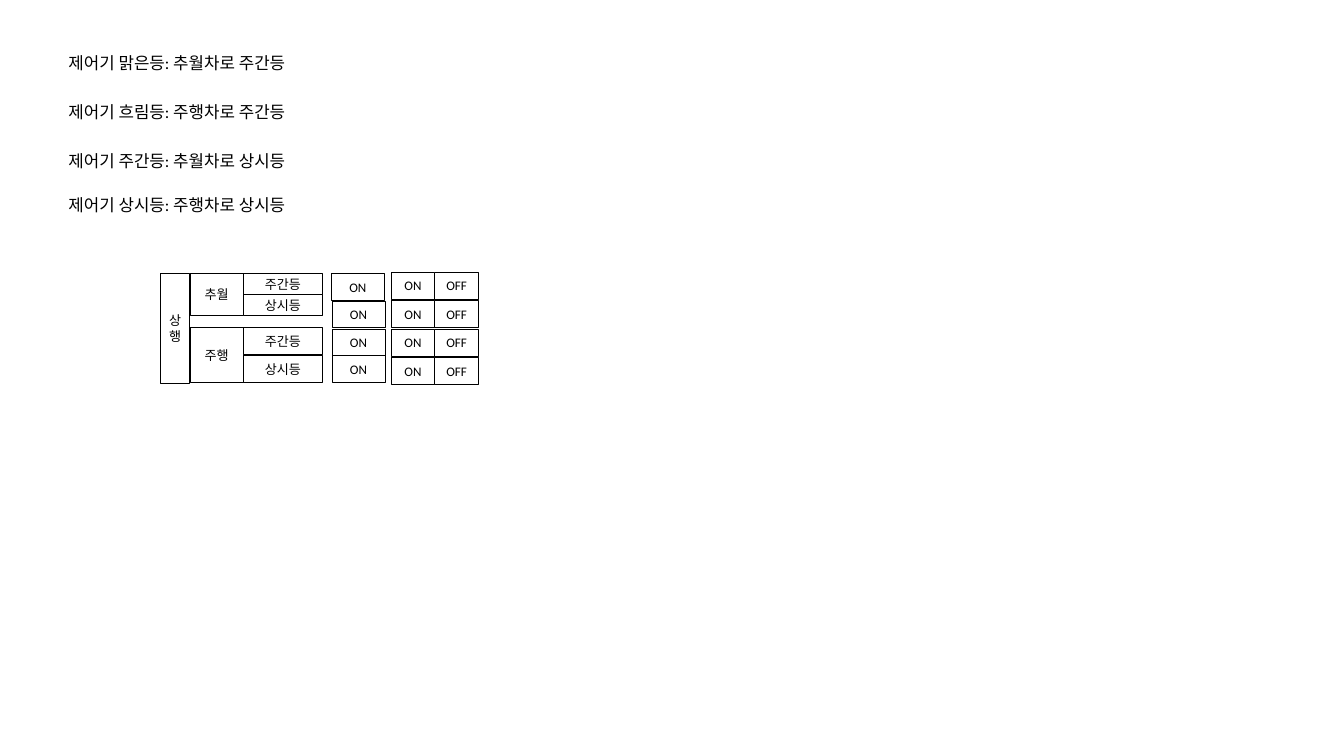
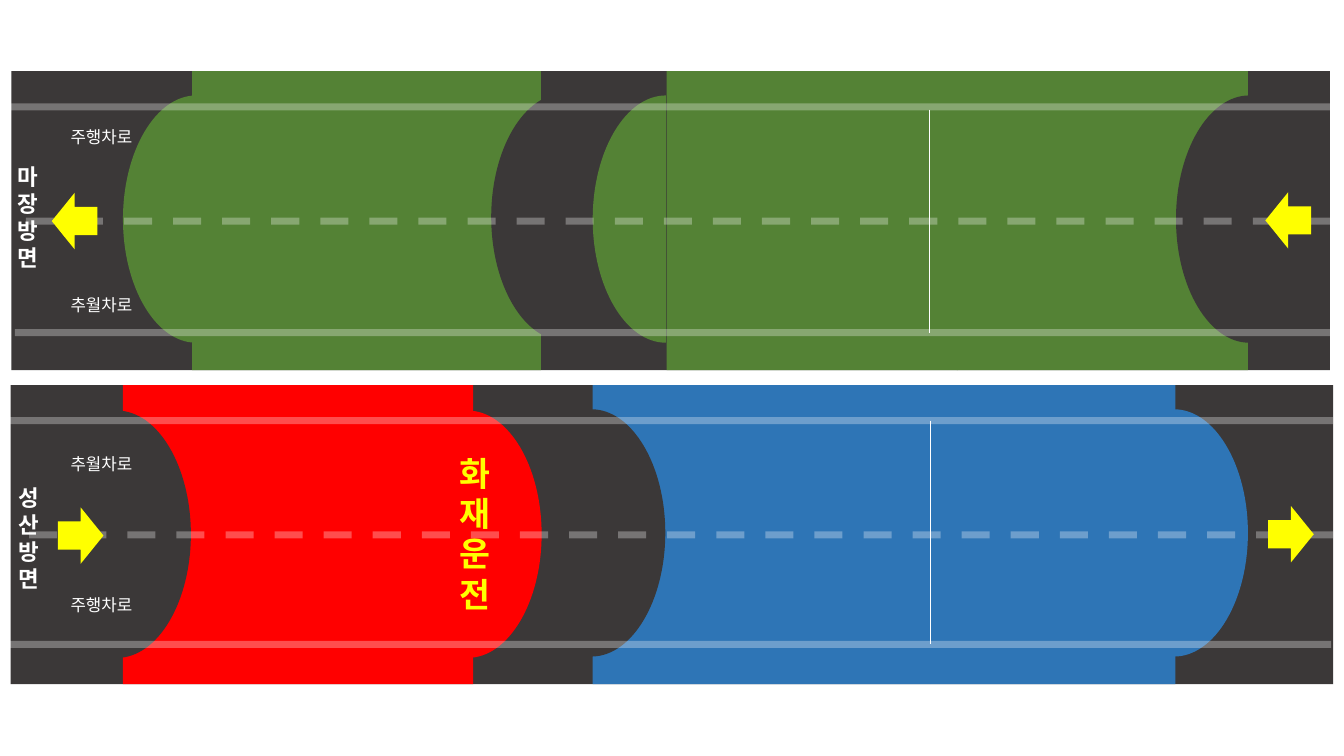
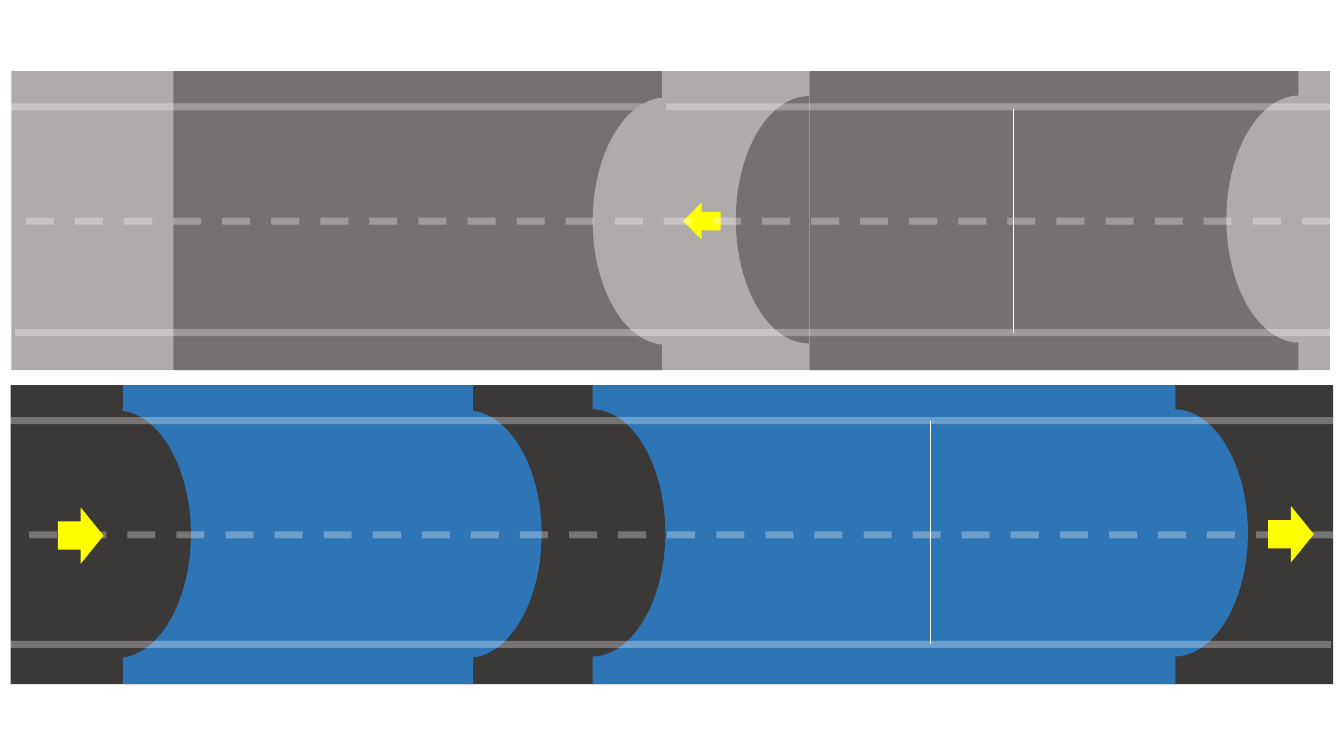
from lxml.etree import SubElement
from pptx import Presentation
from pptx.dml.color import RGBColor
from pptx.enum.dml import MSO_LINE
from pptx.enum.shapes import MSO_CONNECTOR as Link, MSO_SHAPE as Preset
from pptx.enum.text import MSO_ANCHOR as Anchor, MSO_AUTO_SIZE as Fit, PP_ALIGN as Align
from pptx.oxml.ns import qn
from pptx.util import Inches, Pt

FONT = "Calibri"
BLACK, WHITE, YELLOW = "000000", "FFFFFF", "FFFF00"
ASPHALT, GREEN, BLUE, RED = "3B3838", "548235", "2E75B6", "FF0000"
LIGHT_GREY, DARK_GREY = "AFABAB", "767171"

ROAD_HEIGHT = 4.45
UPPER_TOP, LOWER_TOP = 1.06, 5.73
LEFTWARD, RIGHTWARD = 270, 90
PORTAL_SPAN = 3.68
PORTAL_DEPTHS = {LEFTWARD: 1.09, RIGHTWARD: 1.1}
ARC_PULL = 0.55
UPPER_EDGE = (19.79, 0.13, 1.59)
UPPER_CENTRE = (19.79, 0.17, 3.29)
UPPER_KERB = (19.84, 0.22, 4.95)
LOWER_EDGE = (19.84, 0.11, 6.26)
LOWER_CENTRE = (19.84, 0.16, 7.96)
LOWER_KERB = (19.81, 0.13, 9.59)


def color(value):
    return RGBColor.from_string(value)


def paint(shape, fill):
    shape.shadow.inherit = False
    shape.fill.solid()
    shape.fill.fore_color.rgb = color(fill)
    shape.line.fill.background()


def write(shape, lines, size, ink, align=Align.CENTER, anchor=Anchor.MIDDLE,
          bold=False, fit=Fit.NONE):
    frame = shape.text_frame
    settings = {"word_wrap": True, "vertical_anchor": anchor, "auto_size": fit}
    for name, value in settings.items():
        setattr(frame, name, value)
    formats = {"name": FONT, "size": Pt(size), "bold": bold}
    for index, text in enumerate(lines):
        para = frame.paragraphs[0] if index == 0 else frame.add_paragraph()
        para.alignment = align
        span = para.add_run()
        span.text = text
        for name, value in formats.items():
            setattr(span.font, name, value)
        span.font.color.rgb = color(ink)


def add_text(page, place, lines, size, ink, **options):
    box = page.shapes.add_textbox(*map(Inches, place))
    write(box, lines, size, ink, **options)


def add_cell(page, place, text):
    cell = page.shapes.add_shape(Preset.RECTANGLE, *map(Inches, place))
    paint(cell, WHITE)
    cell.line.color.rgb = color(BLACK)
    cell.line.width = Pt(1)
    write(cell, [text], 14, BLACK)


def add_road(page, left, width, top, fill):
    road = page.shapes.add_shape(
        Preset.RECTANGLE, *map(Inches, (left, top, width, ROAD_HEIGHT)))
    paint(road, fill)


def bend(segments):
    curve = segments[0]
    curve.tag = qn("a:cubicBezTo")
    for segment in segments[1:]:
        curve.append(segment[0])
        segment.getparent().remove(segment)


def add_portal(page, left, middle, direction, fill):
    depth, half = PORTAL_DEPTHS[direction], PORTAL_SPAN / 2
    centre, base = left + depth / 2, middle + depth / 2
    pull = ARC_PULL
    outline = [(-1, 0), (-1, pull), (-pull, 1), (0, 1),
               (pull, 1), (1, pull), (1, 0), (-1, 0)]
    points = [(Inches(centre + half * across), Inches(base - depth * up))
              for across, up in outline]
    builder = page.shapes.build_freeform(*points[0], scale=1.0)
    builder.add_line_segments(points[1:], close=True)
    portal = builder.convert_to_shape()
    segments = list(portal._element.iter(qn("a:lnTo")))
    bend(segments[0:3])
    bend(segments[3:6])
    portal.rotation = direction
    paint(portal, fill)


def add_line(page, start, end, width, dash=None, opacity=None):
    line = page.shapes.add_connector(Link.STRAIGHT, *map(Inches, start + end))
    line.line.color.rgb = color(WHITE)
    line.line.width = Pt(width)
    if dash:
        line.line.dash_style = dash
    properties = line._element.spPr
    if opacity:
        tone = next(properties.iter(qn("a:srgbClr")))
        SubElement(tone, qn("a:alpha")).set("val", str(opacity * 1000))
    SubElement(properties, qn("a:effectLst"))


def add_marking(page, marking, dash=MSO_LINE.SOLID):
    right, left, y = marking
    add_line(page, (right, y), (left, y), 7.5, dash, 30)


def add_divider(page, x, top, bottom):
    add_line(page, (x, top), (x, bottom), 0.5)


def add_arrow(page, left, top, rotation, width=0.84, height=0.68):
    arrow = page.shapes.add_shape(
        Preset.DOWN_ARROW, *map(Inches, (left, top, width, height)))
    arrow.rotation = rotation
    paint(arrow, YELLOW)


def add_lane_name(page, top, name):
    add_text(page, (0.68, top, 1.66, 0.52), [name], 18, WHITE)


def add_lower_road(page, first_fill):
    add_road(page, 0.16, 19.68, LOWER_TOP, ASPHALT)
    add_road(page, 8.82, 5.02, LOWER_TOP, BLUE)
    add_portal(page, 17.47, 7.93, RIGHTWARD, BLUE)
    add_road(page, 13.84, 3.65, LOWER_TOP, BLUE)
    add_road(page, 1.83, 5.21, LOWER_TOP, first_fill)
    add_portal(page, 6.96, 7.95, RIGHTWARD, first_fill)
    add_portal(page, 8.8, 7.93, RIGHTWARD, ASPHALT)
    add_portal(page, 1.74, 7.95, RIGHTWARD, ASPHALT)
    add_marking(page, LOWER_EDGE)
    add_marking(page, LOWER_CENTRE, MSO_LINE.DASH)
    add_arrow(page, 0.78, 7.63, 270)
    add_marking(page, LOWER_KERB)
    add_arrow(page, 18.79, 7.61, 270)


def build_controls(page):
    notes = [
        (0.73, "제어기 맑은등: 추월차로 주간등"),
        (1.46, "제어기 흐림등: 주행차로 주간등"),
        (2.2, "제어기 주간등: 추월차로 상시등"),
        (2.85, "제어기 상시등: 주행차로 상시등"),
    ]
    for top, text in notes:
        add_text(page, (0.92, top, 4.51, 0.4), [text], 18, BLACK,
                 align=Align.LEFT, anchor=Anchor.TOP, fit=Fit.SHAPE_TO_FIT_TEXT)

    add_cell(page, (2.39, 4.07, 0.43, 1.63), "상행")
    lanes = [("추월", 0.63, (4.07, 4.38), 0.32), ("주행", 0.81, (4.88, 5.29), 0.4)]
    for lane, lane_height, tops, lamp_height in lanes:
        add_cell(page, (2.83, tops[0], 0.79, lane_height), lane)
        for top, lamp in zip(tops, ("주간등", "상시등")):
            add_cell(page, (3.62, top, 1.18, lamp_height), lamp)

    for left, top in ((4.93, 4.07), (4.94, 4.48), (4.94, 4.9), (4.94, 5.29)):
        add_cell(page, (left, top, 0.79, 0.4), "ON")
    for top in (4.05, 4.47, 4.9, 5.32):
        for left, state in ((6.47, "OFF"), (5.82, "ON")):
            add_cell(page, (left, top, 0.65, 0.4), state)


def build_fire_mode(page):
    add_road(page, 0.17, 19.62, UPPER_TOP, ASPHALT)
    add_road(page, 9.92, 4.33, UPPER_TOP, GREEN)
    add_portal(page, 8.82, 3.26, LEFTWARD, GREEN)
    add_road(page, 14.24, 4.33, UPPER_TOP, GREEN)
    add_road(page, 2.86, 5.19, UPPER_TOP, GREEN)
    add_portal(page, 1.83, 3.26, LEFTWARD, GREEN)
    add_portal(page, 17.5, 3.26, LEFTWARD, ASPHALT)
    add_portal(page, 7.31, 3.23, LEFTWARD, ASPHALT)
    add_marking(page, UPPER_EDGE)
    add_marking(page, UPPER_CENTRE, MSO_LINE.DASH)
    add_arrow(page, 0.69, 2.95, 90)
    add_marking(page, UPPER_KERB)
    add_arrow(page, 18.75, 2.94, 90)
    add_text(page, (0.02, 1.84, 0.8, 2.78), "마장방면", 24, WHITE, bold=True)
    add_lane_name(page, 4.27, "추월차로")
    add_lane_name(page, 1.78, "주행차로")

    add_lower_road(page, RED)
    add_text(page, (0.03, 7.31, 0.8, 1.4), "성산방면", 24, WHITE, bold=True)
    add_text(page, (6.31, 5.79, 1.53, 4.29), "화재운전", 36, YELLOW, bold=True)
    add_lane_name(page, 6.64, "추월차로")
    add_lane_name(page, 8.74, "주행차로")
    add_divider(page, 13.84, 6.26, 9.59)
    add_divider(page, 13.83, 1.63, 4.95)


def build_normal_mode(page):
    add_road(page, 0.17, 19.62, UPPER_TOP, LIGHT_GREY)
    add_portal(page, 10.95, 3.27, LEFTWARD, DARK_GREY)
    add_road(page, 12.05, 7.27, UPPER_TOP, DARK_GREY)
    add_portal(page, 18.25, 3.26, LEFTWARD, LIGHT_GREY)
    add_arrow(page, 10.17, 3.01, 90, 0.55, 0.56)
    add_lower_road(page, BLUE)
    add_divider(page, 13.84, 6.26, 9.59)
    add_road(page, 2.58, 7.27, UPPER_TOP, DARK_GREY)
    add_marking(page, UPPER_EDGE)
    add_portal(page, 8.82, 3.29, LEFTWARD, LIGHT_GREY)
    add_divider(page, 15.08, 1.62, 4.95)
    add_marking(page, UPPER_CENTRE, MSO_LINE.DASH)
    add_marking(page, UPPER_KERB)


def main():
    deck = Presentation()
    deck.slide_width, deck.slide_height = Inches(20), Inches(11.25)
    for build in (build_controls, build_fire_mode, build_normal_mode):
        build(deck.slides.add_slide(deck.slide_layouts[6]))
    deck.save("out.pptx")


if __name__ == "__main__":
    main()
